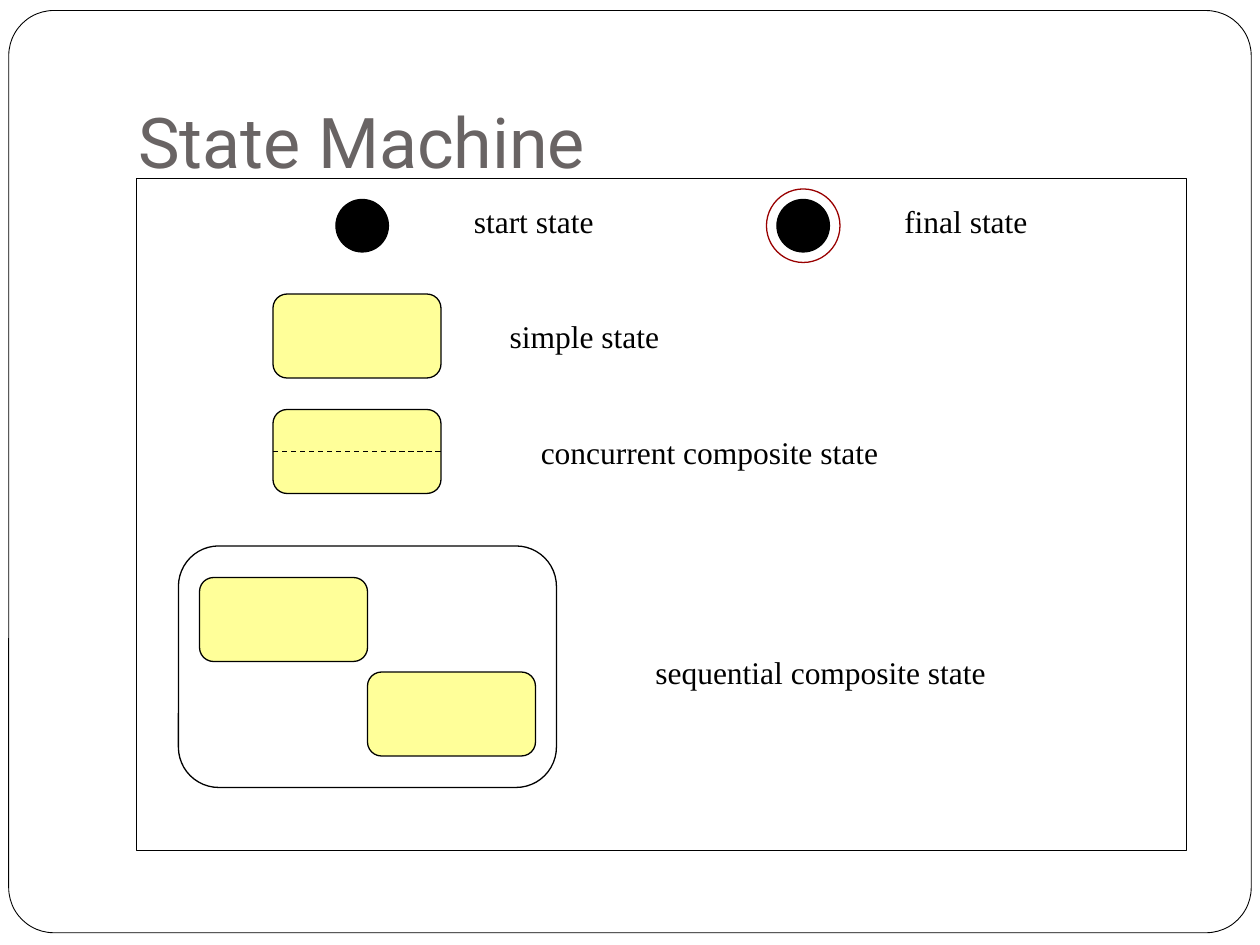
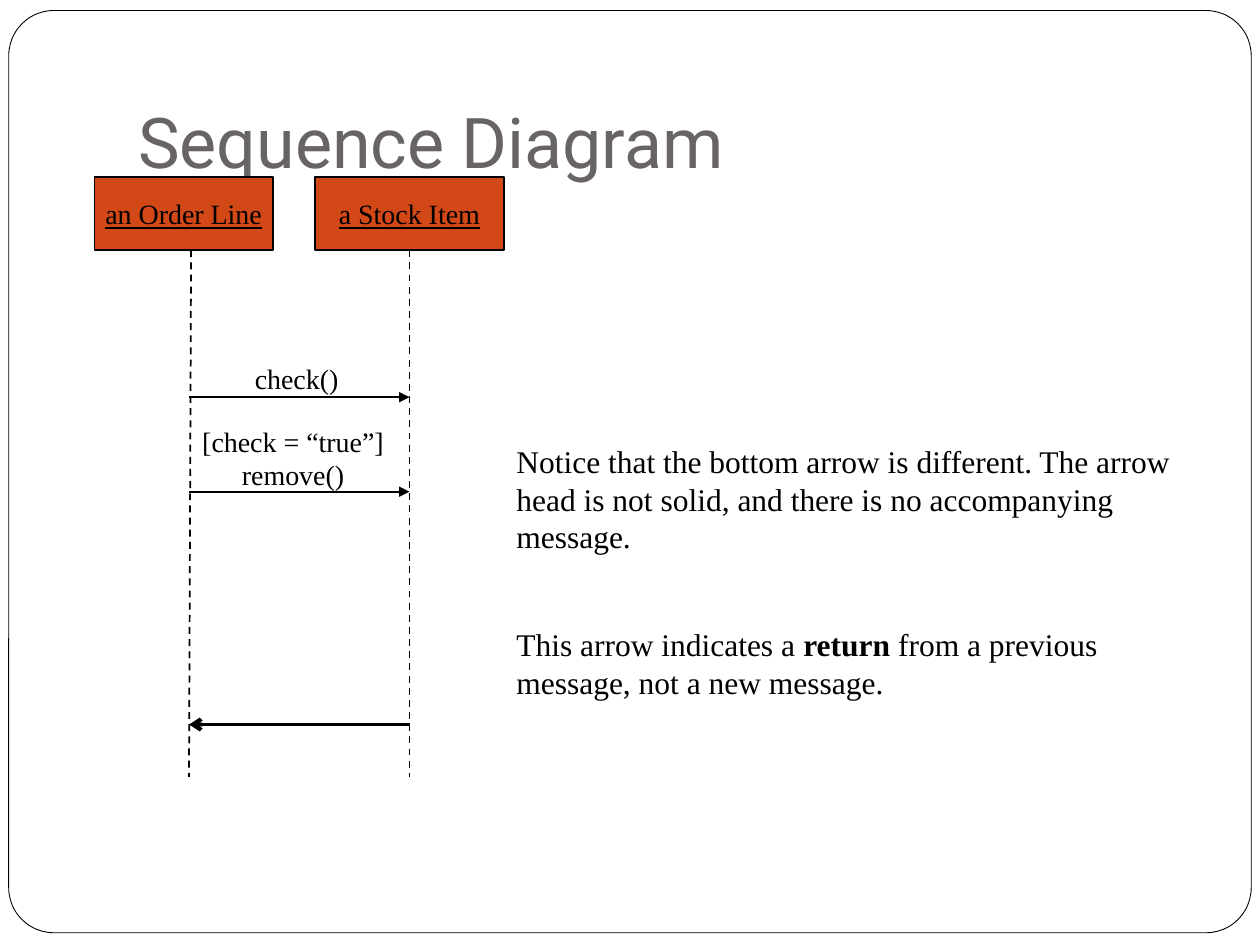
from dataclasses import dataclass
from typing import NamedTuple

from lxml.etree import SubElement
from pptx import Presentation
from pptx.dml.color import RGBColor
from pptx.enum.dml import MSO_LINE
from pptx.enum.shapes import MSO_CONNECTOR, MSO_SHAPE
from pptx.enum.text import MSO_ANCHOR, PP_ALIGN
from pptx.oxml.ns import qn
from pptx.util import Pt


@dataclass(frozen=True)
class Theme:
    black: str = "000000"
    white: str = "FFFFFF"
    title: str = "696464"
    state: str = "FFFF99"
    ring: str = "990000"
    participant: str = "D34817"
    title_font: str = "Roboto"
    body_font: str = "Times New Roman"
    title_size: int = 40
    label_size: int = 18
    message_size: int = 16
    thin: float = 0.75
    medium: float = 1
    thick: float = 2.25


THEME = Theme()
STATE_SIZE = (96, 48)
BOTTOM = 2  # connection site of a rectangle


class Box(NamedTuple):
    """An area in points."""
    left: float
    top: float
    width: float
    height: float

    def inside(self, left, top, width, height):
        return Box(self.left + left, self.top + top, width, height)

    def lengths(self):
        return [Pt(value) for value in self]


def set_format(target, values):
    for name, value in values.items():
        setattr(target, name, value)


def add_run(paragraph, text, size, color=THEME.black, font=THEME.body_font, **extra):
    run = paragraph.add_run()
    run.text = text
    set_format(run.font, {"name": font, "size": Pt(size), **extra})
    run.font.color.rgb = RGBColor.from_string(color)


def add_text(slide, box, text, size, frame_format=None, align=PP_ALIGN.CENTER, **font):
    """Text box with one paragraph; line breaks stay inside it."""
    frame = slide.shapes.add_textbox(*box.lengths()).text_frame
    set_format(frame, {"word_wrap": False, "vertical_anchor": MSO_ANCHOR.MIDDLE,
                       **(frame_format or {})})
    paragraph = frame.paragraphs[0]
    paragraph.alignment = align
    for index, line in enumerate(text.split("\n")):
        if index:
            paragraph.add_line_break()
        add_run(paragraph, line, size, **font)
    return frame


def add_outline(slide, kind, box, fill=None, line=THEME.black, width=THEME.thin, corner=None):
    shape = slide.shapes.add_shape(kind, *box.lengths())
    shape.shadow.inherit = False
    if fill:
        shape.fill.solid()
        shape.fill.fore_color.rgb = RGBColor.from_string(fill)
    else:
        shape.fill.background()
    shape.line.color.rgb = RGBColor.from_string(line)
    shape.line.width = Pt(width)
    if corner is not None:
        shape.adjustments[0] = corner
    return shape


def add_line(slide, start, end, width=THEME.medium, dashed=False, head=None):
    connector = slide.shapes.add_connector(
        MSO_CONNECTOR.STRAIGHT, *[Pt(value) for value in (*start, *end)])
    connector.line.color.rgb = RGBColor.from_string(THEME.black)
    connector.line.width = Pt(width)
    if dashed:
        connector.line.dash_style = MSO_LINE.DASH
    properties = connector._element.spPr
    if head:
        SubElement(properties.find(qn("a:ln")), qn("a:tailEnd"), type=head)
    SubElement(properties, qn("a:effectLst"))
    return connector


def add_base_slide(presentation, title):
    """Blank slide with the rounded frame and the title."""
    slide = presentation.slides.add_slide(presentation.slide_layouts[6])
    add_outline(slide, MSO_SHAPE.ROUNDED_RECTANGLE, Box(5, 6, 710, 527),
                fill=THEME.white, width=0.5, corner=0.049)
    title_frame = {"word_wrap": True, "vertical_anchor": MSO_ANCHOR.BOTTOM,
                   "margin_bottom": Pt(7.2)}
    add_text(slide, Box(72, 21.6, 612, 90), title, THEME.title_size, title_frame,
             PP_ALIGN.LEFT, color=THEME.title, font=THEME.title_font)
    return slide


def add_label(slide, box, text):
    add_text(slide, box, text, THEME.label_size)


def add_state(slide, box, left, top):
    add_outline(slide, MSO_SHAPE.ROUNDED_RECTANGLE, box.inside(left, top, *STATE_SIZE),
                fill=THEME.state)


def add_end_states(slide, box):
    """Start dot, ringed final dot and their labels."""
    for dot_left, label_left, width, text in (
            (0, 60, 106, "start state"), (252, 306, 108, "final state")):
        add_outline(slide, MSO_SHAPE.OVAL, box.inside(dot_left, 6, 30, 30), fill=THEME.black)
        add_label(slide, box.inside(label_left, 0, width, 36), text)
    add_outline(slide, MSO_SHAPE.OVAL, box.inside(246, 0, 42, 42), line=THEME.ring)


def add_single_states(slide, box):
    """Simple state above a concurrent state split by a dashed line."""
    for row, (width, text) in enumerate(
            ((128, "simple state"), (271, "concurrent composite state"))):
        top = row * 66
        add_state(slide, box, 0, top)
        add_label(slide, box.inside(114, top + 6, width, 36), text)
    middle = box.top + 66 + STATE_SIZE[1] / 2
    add_line(slide, (box.left, middle), (box.left + STATE_SIZE[0], middle),
             THEME.thin, dashed=True)


def add_sequential_state(slide, box):
    """Composite frame holding two states."""
    add_state(slide, box, 12, 18)
    add_state(slide, box, 108, 72)
    add_outline(slide, MSO_SHAPE.ROUNDED_RECTANGLE, box.inside(0, 0, 216, 138), corner=0.167)
    add_label(slide, box.inside(234, 54, 266, 36), "sequential composite state")


def add_state_machine_slide(presentation):
    slide = add_base_slide(presentation, "State Machine")
    panel = Box(78, 102, 600, 384)
    add_outline(slide, MSO_SHAPE.RECTANGLE, panel)
    add_end_states(slide, panel.inside(114, 6, 420, 42))
    add_single_states(slide, panel.inside(78, 66, 385, 114))
    add_sequential_state(slide, panel.inside(24, 210, 500, 138))


def add_participant(slide, box, text):
    shape = add_outline(slide, MSO_SHAPE.RECTANGLE, box, THEME.participant, width=THEME.medium)
    set_format(shape.text_frame, {"word_wrap": False, "vertical_anchor": MSO_ANCHOR.MIDDLE})
    paragraph = shape.text_frame.paragraphs[0]
    paragraph.alignment = PP_ALIGN.CENTER
    add_run(paragraph, text, THEME.message_size, underline=True)
    return shape


def add_sequence(slide, box):
    """Two participants, their lifelines and the messages between them."""
    caller, receiver = box.left + 54, box.left + 180
    head_height, bottom = 42, box.top + box.height
    add_participant(slide, box.inside(0, 0, 102, head_height), "an Order Line")
    stock_item = add_participant(slide, box.inside(126, 0, 108, head_height), "a Stock Item")

    # Lifelines
    lifeline_top = box.top + head_height
    add_line(slide, (caller + 1.2, lifeline_top), (caller, bottom), dashed=True)
    lifeline = add_line(slide, (receiver, lifeline_top), (receiver, bottom), dashed=True)
    lifeline.begin_connect(stock_item, BOTTOM)

    # Messages and the return arrow
    for offset in (126, 180):
        level = box.top + offset
        add_line(slide, (caller, level), (receiver, level), head="triangle")
    level = box.top + 313
    add_line(slide, (receiver, level), (caller, level), THEME.thick, head="arrow")
    top_anchor = {"vertical_anchor": MSO_ANCHOR.TOP}
    for area, text in (((54, 138, 119, 46), "[check = “true”]\nremove()"),
                       ((84, 102, 63, 27), "check()")):
        add_text(slide, box.inside(*area), text, THEME.message_size, top_anchor)


def add_note(slide, box):
    """Explanation beside the diagram."""
    frame = add_text(
        slide, box,
        "Notice that the bottom arrow is different. The arrow head is not solid, "
        "and there is no accompanying message.",
        THEME.label_size, {"word_wrap": True}, PP_ALIGN.LEFT)
    paragraph = frame.add_paragraph()
    set_format(paragraph, {"alignment": PP_ALIGN.LEFT, "space_before": Pt(40)})
    for text, bold in (("This arrow indicates a ", False), ("return", True),
                       (" from a previous message, not a new message.", False)):
        add_run(paragraph, text, THEME.label_size, bold=bold)


def add_sequence_slide(presentation):
    slide = add_base_slide(presentation, "Sequence Diagram")
    add_sequence(slide, Box(54, 101, 234, 343))
    add_note(slide, Box(288, 222, 408, 209))


def main():
    presentation = Presentation()
    set_format(presentation, {"slide_width": Pt(720), "slide_height": Pt(540)})
    add_state_machine_slide(presentation)
    add_sequence_slide(presentation)
    presentation.save("out.pptx")


if __name__ == "__main__":
    main()
